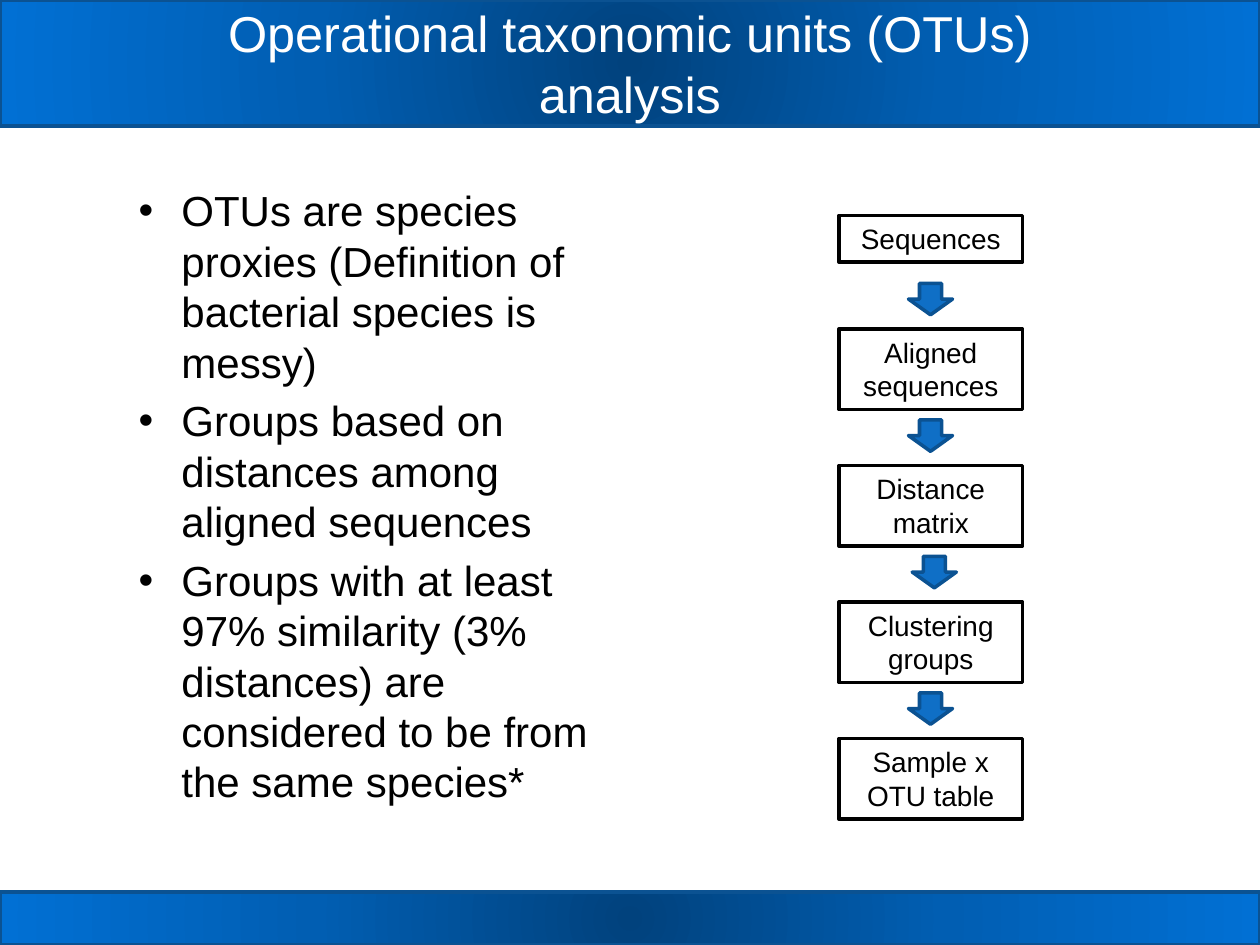
from typing import NamedTuple

from lxml.etree import SubElement
from pptx import Presentation
from pptx.dml.color import RGBColor as RGB
from pptx.enum.shapes import MSO_SHAPE as SHAPE
from pptx.enum.text import MSO_ANCHOR as ANCHOR, MSO_AUTO_SIZE as AUTO, PP_ALIGN as ALIGN
from pptx.oxml.ns import qn
from pptx.util import Pt

COLORS = {
    "white": "FFFFFF",
    "black": "000000",
    "edge": "0B5292",
    "arrow": "0F6FC6",
    "bar_center": "01427D",
    "bar_middle": "015EB2",
    "bar_rim": "0170D4",
}
FONT = "Arial"
PITCH = 78


class Box(NamedTuple):
    left: float
    top: float
    width: float
    height: float


class Step(NamedTuple):
    lines: tuple[str, ...]
    box: Box


BARS = [Box(0, 0, 720, 72), Box(0, 509.76, 720, 30.24)]
BULLETS = [
    "OTUs are species proxies (Definition of bacterial species is messy)",
    "Groups based on distances among aligned sequences",
    "Groups with at least 97% similarity (3% distances) are considered to be from the same species*",
]
LATER_STEPS = [
    ("Aligned sequences",),
    ("Distance", "matrix"),
    ("Clustering groups",),
    ("Sample x OTU table",),
]
STEPS = [Step(("Sequences",), Box(479.4, 123.1, 105, 26.6))] + [
    Step(lines, Box(479.4, 188 + i * PITCH, 105, 46))
    for i, lines in enumerate(LATER_STEPS)
]
ARROWS = [Box(left, 158.3 + i * PITCH, 18, 25.2) for i, left in enumerate((522.7, 522.7, 524.9, 522.7))]


def color(name: str) -> RGB:
    return RGB.from_string(COLORS[name])


def place(sp, box: Box) -> None:
    sp.left, sp.top, sp.width, sp.height = map(Pt, box)


def add_shape(slide, kind, box: Box, line: str, fill: str):
    sp = slide.shapes.add_shape(kind, *map(Pt, box))
    sp.shadow.inherit = False
    sp.fill.solid()
    sp.fill.fore_color.rgb = color(fill)
    sp.line.color.rgb = color(line)
    sp.line.width = Pt(2)
    return sp


def write(tf, lines, size: float, ink: str, align) -> None:
    tf.word_wrap = True
    for i, text in enumerate(lines):
        p = tf.add_paragraph() if i else tf.paragraphs[0]
        p.alignment = align
        r = p.add_run()
        r.text = text
        r.font.name = FONT
        r.font.size = Pt(size)
        r.font.color.rgb = color(ink)


def add_bar(slide, box: Box, depth: int) -> None:
    sp = add_shape(slide, SHAPE.RECTANGLE, box, "edge", "bar_middle")
    sp.fill.gradient()
    grad = sp.element.spPr.find(qn("a:gradFill"))
    for child in list(grad):
        grad.remove(child)
    stops = SubElement(grad, qn("a:gsLst"))
    for pos, name in ((0, "bar_center"), (50, "bar_middle"), (100, "bar_rim")):
        gs = SubElement(stops, qn("a:gs"), pos=str(pos * 1000))
        SubElement(gs, qn("a:srgbClr"), val=COLORS[name])
    route = SubElement(grad, qn("a:path"), path="circle")
    SubElement(route, qn("a:fillToRect"), dict.fromkeys("ltrb", "50000"))
    sp.element.getparent().insert(2 + depth, sp.element)


def add_title(slide) -> None:
    sp = slide.shapes.title
    place(sp, Box(72, 0, 576, 72))
    tf = sp.text_frame
    tf.auto_size = AUTO.NONE
    tf.vertical_anchor = ANCHOR.MIDDLE
    write(tf, ["Operational taxonomic units (OTUs) analysis"], 28.8, "white", ALIGN.CENTER)


def add_bullets(slide) -> None:
    sp = slide.placeholders[1]
    place(sp, Box(72, 102, 279.5, 384))
    tf = sp.text_frame
    tf.auto_size = AUTO.NONE
    write(tf, BULLETS, 24, "black", ALIGN.LEFT)
    for p in tf.paragraphs:
        pPr = p._p.get_or_add_pPr()
        pPr.set("marL", str(Pt(24.5)))
        pPr.set("indent", str(-Pt(24.5)))
        spacing = SubElement(pPr, qn("a:spcBef"))
        SubElement(spacing, qn("a:spcPct"), val="20000")
        SubElement(pPr, qn("a:buFont"), typeface=FONT)
        SubElement(pPr, qn("a:buChar"), char="•")


def add_step(slide, step: Step) -> None:
    sp = add_shape(slide, SHAPE.RECTANGLE, step.box, "black", "white")
    tf = sp.text_frame
    tf.vertical_anchor = ANCHOR.TOP
    write(tf, step.lines, 16, "black", ALIGN.CENTER)
    tf.auto_size = AUTO.SHAPE_TO_FIT_TEXT


def add_arrow(slide, box: Box) -> None:
    sp = add_shape(slide, SHAPE.RIGHT_ARROW, box, "edge", "arrow")
    sp.rotation = 90


def main() -> None:
    prs = Presentation()
    prs.slide_width, prs.slide_height = Pt(720), Pt(540)
    slide = prs.slides.add_slide(prs.slide_layouts[1])
    for depth, bar in enumerate(BARS):
        add_bar(slide, bar, depth)
    add_title(slide)
    add_bullets(slide)
    for step in STEPS:
        add_step(slide, step)
    for arrow in ARROWS:
        add_arrow(slide, arrow)
    prs.save("out.pptx")


if __name__ == "__main__":
    main()
